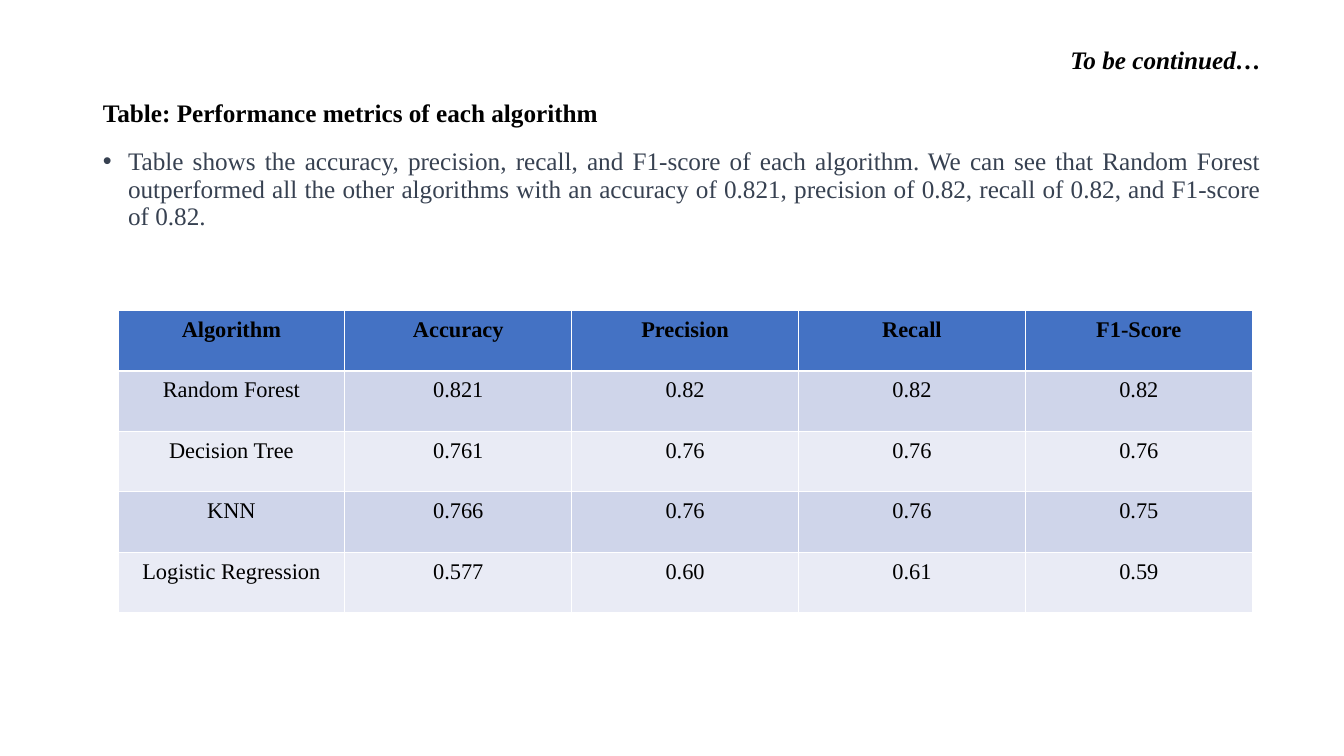
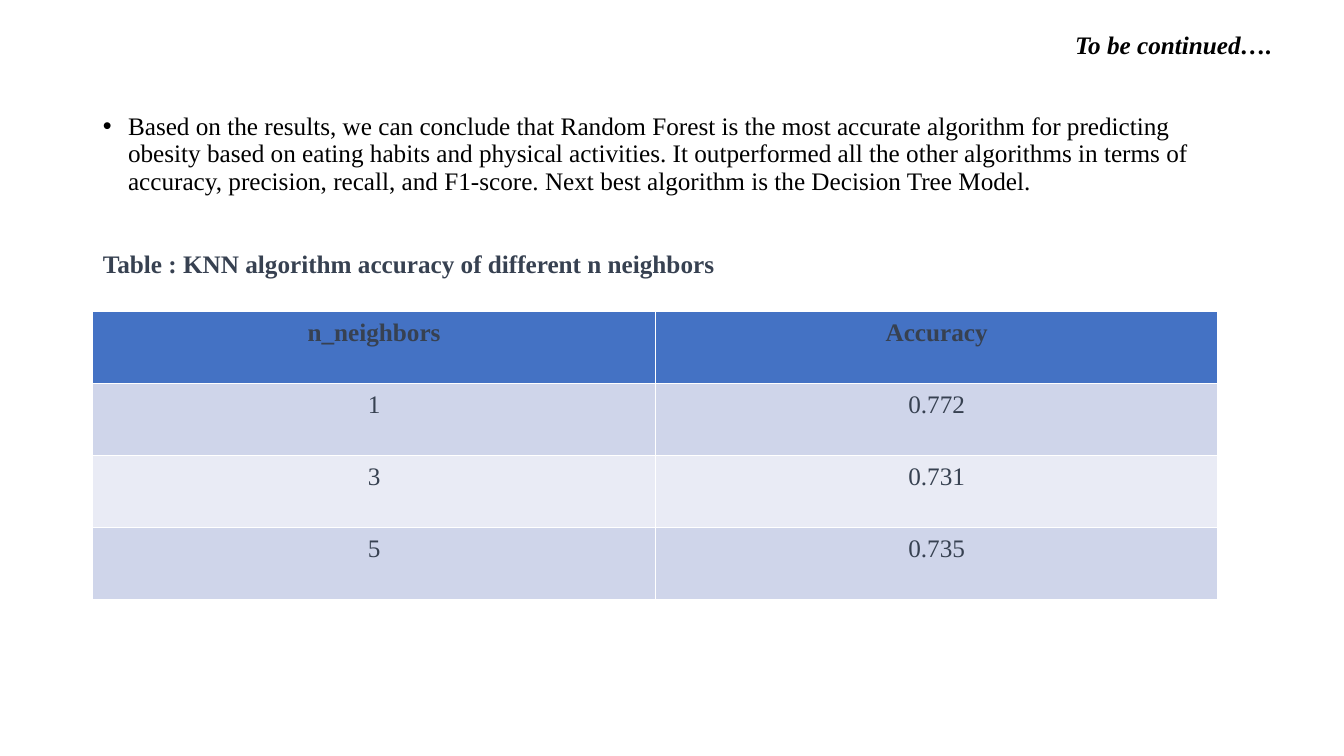
from pptx import Presentation
from pptx.dml.color import RGBColor
from pptx.enum.text import MSO_ANCHOR, MSO_AUTO_SIZE, PP_ALIGN as Align
from pptx.oxml.ns import qn
from pptx.util import Emu, Pt
from lxml.etree import SubElement

PX = 9144  # EMU per px, 100 px to the inch
FONT = "Times New Roman"
COLORS = {"black": "000000", "slate": "374151", "header": "4472C4",
          "band_dark": "CFD5EA", "band_light": "E9EBF5"}
INDENT = 25
CELL_MARGIN = 7

PAGES = [
    {
        "title": "To be continued…",
        "title_box": (78, 26, 1183, 69),
        "body_box": (92, 95, 1169, 612),
        # text, is a bullet, colour, alignment, space before in points
        "body": [
            ("Table: Performance metrics of each algorithm",
             False, "black", Align.LEFT, 10),
            ("Table shows the accuracy, precision, recall, and F1-score of each "
             "algorithm. We can see that Random Forest outperformed all the other "
             "algorithms with an accuracy of 0.821, precision of 0.82, recall of "
             "0.82, and F1-score of 0.82.",
             True, "slate", Align.JUSTIFY, 15),
        ],
        "table_box": (117, 308, 1125, 300),
        "table_size": 16,
        "table_color": "black",
        "rows": [
            ("Algorithm", "Accuracy", "Precision", "Recall", "F1-Score"),
            ("Random Forest", "0.821", "0.82", "0.82", "0.82"),
            ("Decision Tree", "0.761", "0.76", "0.76", "0.76"),
            ("KNN", "0.766", "0.76", "0.76", "0.75"),
            ("Logistic Regression", "0.577", "0.60", "0.61", "0.59"),
        ],
    },
    {
        "title": "To be continued….",
        "title_box": (92, 17, 1180, 57),
        "body_box": (92, 108, 1150, 595),
        "body": [
            ("Based on the results, we can conclude that Random Forest is the most "
             "accurate algorithm for predicting obesity based on eating habits and "
             "physical activities. It outperformed all the other algorithms in terms "
             "of accuracy, precision, recall, and F1-score. Next best algorithm is "
             "the Decision Tree Model.",
             True, "black", Align.LEFT, 10),
            ("Table : KNN algorithm accuracy of different n neighbors",
             False, "slate", Align.LEFT, 40),
        ],
        "table_box": (92, 309, 1116, 286),
        "table_size": 18,
        "table_color": "slate",
        "rows": [
            ("n_neighbors", "Accuracy"),
            ("1", "0.772"),
            ("3", "0.731"),
            ("5", "0.735"),
        ],
    },
]


def place(shape, box):
    shape.left, shape.top, shape.width, shape.height = (Emu(n * PX) for n in box)


def format_paragraph(paragraph, align, size, color, bold=False, italic=False):
    paragraph.alignment = align
    for span in paragraph.runs:
        font = span.font
        font.name, font.size = FONT, Pt(size)
        font.bold, font.italic = bold, italic
        font.color.rgb = RGBColor.from_string(COLORS[color])


deck = Presentation()
deck.slide_width, deck.slide_height = Emu(1333 * PX), Emu(750 * PX)

for content in PAGES:
    page = deck.slides.add_slide(deck.slide_layouts[1])

    title = page.shapes.title
    place(title, content["title_box"])
    title.text_frame.text = content["title"]
    title.text_frame.vertical_anchor = MSO_ANCHOR.MIDDLE
    title.text_frame.auto_size = MSO_AUTO_SIZE.NONE
    heading = title.text_frame.paragraphs[0]
    heading.line_spacing = 0.9
    format_paragraph(heading, Align.RIGHT, 18, "black", bold=True, italic=True)

    body = page.placeholders[1]
    place(body, content["body_box"])
    frame = body.text_frame
    frame.auto_size = MSO_AUTO_SIZE.NONE
    frame.text = "\n".join(item[0] for item in content["body"])
    for para, item in zip(frame.paragraphs, content["body"]):
        _, is_bullet, color, align, space_before = item
        para.line_spacing = 0.9
        para.space_before = Pt(space_before)
        format_paragraph(para, align, 18, color, bold=not is_bullet)
        indent = INDENT * PX if is_bullet else 0
        properties = para._p.get_or_add_pPr()
        properties.set("marL", str(indent))
        properties.set("indent", str(-indent))
        if not is_bullet:
            SubElement(properties, qn("a:buNone"))

    rows = content["rows"]
    box = [Emu(n * PX) for n in content["table_box"]]
    table = page.shapes.add_table(len(rows), len(rows[0]), *box).table
    for row_index, values in enumerate(rows):
        is_header = row_index == 0
        band = "band_dark" if row_index % 2 else "band_light"
        fill = "header" if is_header else band
        for column_index, value in enumerate(values):
            cell = table.cell(row_index, column_index)
            cell.text_frame.text = value
            cell.margin_left = cell.margin_right = Emu(CELL_MARGIN * PX)
            cell.margin_top = cell.margin_bottom = Emu(CELL_MARGIN * PX)
            cell.fill.solid()
            cell.fill.fore_color.rgb = RGBColor.from_string(COLORS[fill])
            format_paragraph(cell.text_frame.paragraphs[0], Align.CENTER,
                             content["table_size"], content["table_color"],
                             bold=is_header)

deck.save("out.pptx")
